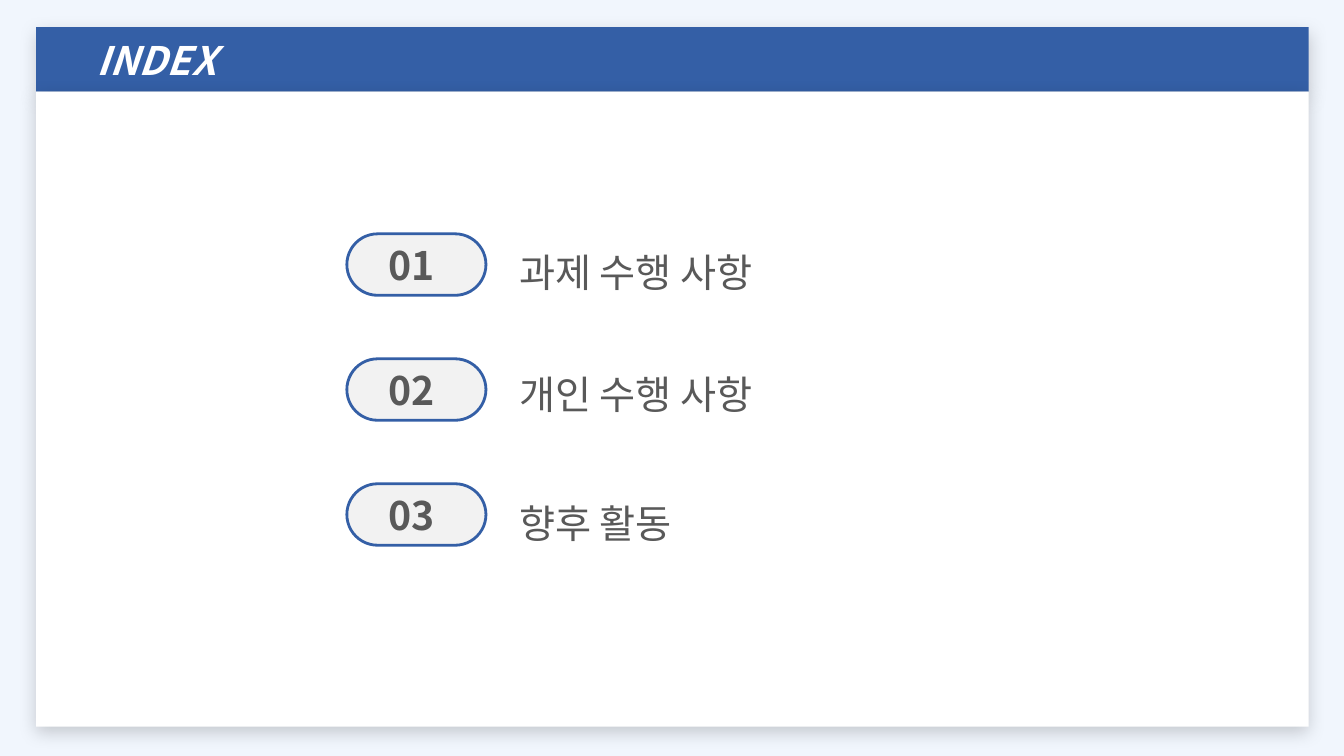
"""Build an index slide with a header band and three numbered entries."""
import lxml.etree
import pptx
import pptx.dml.color
import pptx.enum.shapes
import pptx.enum.text
import pptx.oxml.ns
import pptx.util

WIDTH, HEIGHT = 13.33, 7.5
FONT = "Noto Sans CJK KR"
BLUE, GRAY, PALE, WHITE = "345FA6", "595959", "F2F2F2", "FFFFFF"
PANEL_LEFT, PANEL_WIDTH = 2.7, 94.67
PILL_TOP, PILL_PITCH = 30.93, 16.53
SHAPES = pptx.enum.shapes.MSO_SHAPE
ANCHOR = pptx.enum.text.MSO_ANCHOR
ALIGN = pptx.enum.text.PP_ALIGN

ENTRIES = [
    ("과제 수행 사항", 29.07, 33.16),
    ("개인 수행 사항", 45.2, 33.16),
    ("향후 활동", 62.27, 22.36),
]


def color(value):
    """Turn a hex string into a colour."""
    return pptx.dml.color.RGBColor.from_string(value)


def area(left, top, width, height):
    """Turn percentages of the slide into lengths."""
    return [pptx.util.Inches(share * side / 100) for share, side in
            zip((left, top, width, height), (WIDTH, HEIGHT, WIDTH, HEIGHT))]


def apply_format(target, values):
    """Set each attribute named in a dict of format values."""
    for name, value in values.items():
        setattr(target, name, value)


def write(shape, text, text_color, frame=None, layout=None, font=None):
    """Write one formatted paragraph into a shape."""
    apply_format(shape.text_frame, {"word_wrap": True, **(frame or {})})
    paragraph = shape.text_frame.paragraphs[0]
    apply_format(paragraph, layout or {})
    run = paragraph.add_run()
    run.text = text
    apply_format(run.font, {"name": FONT, "size": pptx.util.Pt(28), **(font or {})})
    run.font.color.rgb = color(text_color)
    properties = run.font._element
    lxml.etree.SubElement(properties, pptx.oxml.ns.qn("a:ea"), typeface=FONT)


def add_block(slide, kind, box, fill, line=None):
    """Add a filled preset shape with an optional outline."""
    shape = slide.shapes.add_shape(kind, *area(*box))
    shape.shadow.inherit = False
    shape.fill.solid()
    shape.fill.fore_color.rgb = color(fill)
    if line:
        shape.line.color.rgb = color(line)
        shape.line.width = pptx.util.Pt(2)
    else:
        shape.line.fill.background()
    return shape


def add_panel(slide, top, height, fill):
    """Add a full-width panel with a soft shadow below it."""
    panel = add_block(slide, SHAPES.RECTANGLE, (PANEL_LEFT, top, PANEL_WIDTH, height), fill)
    qn = pptx.oxml.ns.qn
    effects = panel._element.spPr.find(qn("a:effectLst"))
    shadow = lxml.etree.SubElement(
        effects, qn("a:outerShdw"), blurRad=str(pptx.util.Pt(13)),
        dist=str(pptx.util.Pt(4)), dir="5400000", algn="t", rotWithShape="0")
    tint = lxml.etree.SubElement(shadow, qn("a:srgbClr"), val="000000")
    lxml.etree.SubElement(tint, qn("a:alpha"), val="19000")
    return panel


def add_pill(slide, number):
    """Add the rounded number badge of an entry."""
    top = PILL_TOP + (number - 1) * PILL_PITCH
    pill = add_block(slide, SHAPES.ROUNDED_RECTANGLE, (25.81, top, 10.35, 8.13), PALE, BLUE)
    pill.adjustments[0] = 0.5
    write(pill, f"{number:02d} ", GRAY, {"vertical_anchor": ANCHOR.MIDDLE},
          {"alignment": ALIGN.CENTER}, {"bold": True})


def add_label(slide, text, top, width):
    """Add the title of an entry."""
    label = slide.shapes.add_textbox(*area(37.88, top, width, 9.87))
    write(label, text, GRAY, {"auto_size": pptx.enum.text.MSO_AUTO_SIZE.SHAPE_TO_FIT_TEXT},
          {"line_spacing": 1.5})


def main():
    """Build and save the slide."""
    presentation = pptx.Presentation()
    presentation.slide_width = pptx.util.Inches(WIDTH)
    presentation.slide_height = pptx.util.Inches(HEIGHT)
    slide = presentation.slides.add_slide(presentation.slide_layouts[6])
    slide.background.fill.solid()
    slide.background.fill.fore_color.rgb = color("F1F6FD")

    header = add_panel(slide, 3.6, 8.53, BLUE)
    write(header, "INDEX", WHITE,
          {"vertical_anchor": ANCHOR.MIDDLE, "margin_left": pptx.util.Inches(0.6)},
          {"alignment": ALIGN.LEFT}, {"bold": True, "italic": True})
    add_panel(slide, 12.13, 84, WHITE)
    for number, (text, top, width) in enumerate(ENTRIES, 1):
        add_pill(slide, number)
        add_label(slide, text, top, width)
    presentation.save("out.pptx")


if __name__ == "__main__":
    main()
